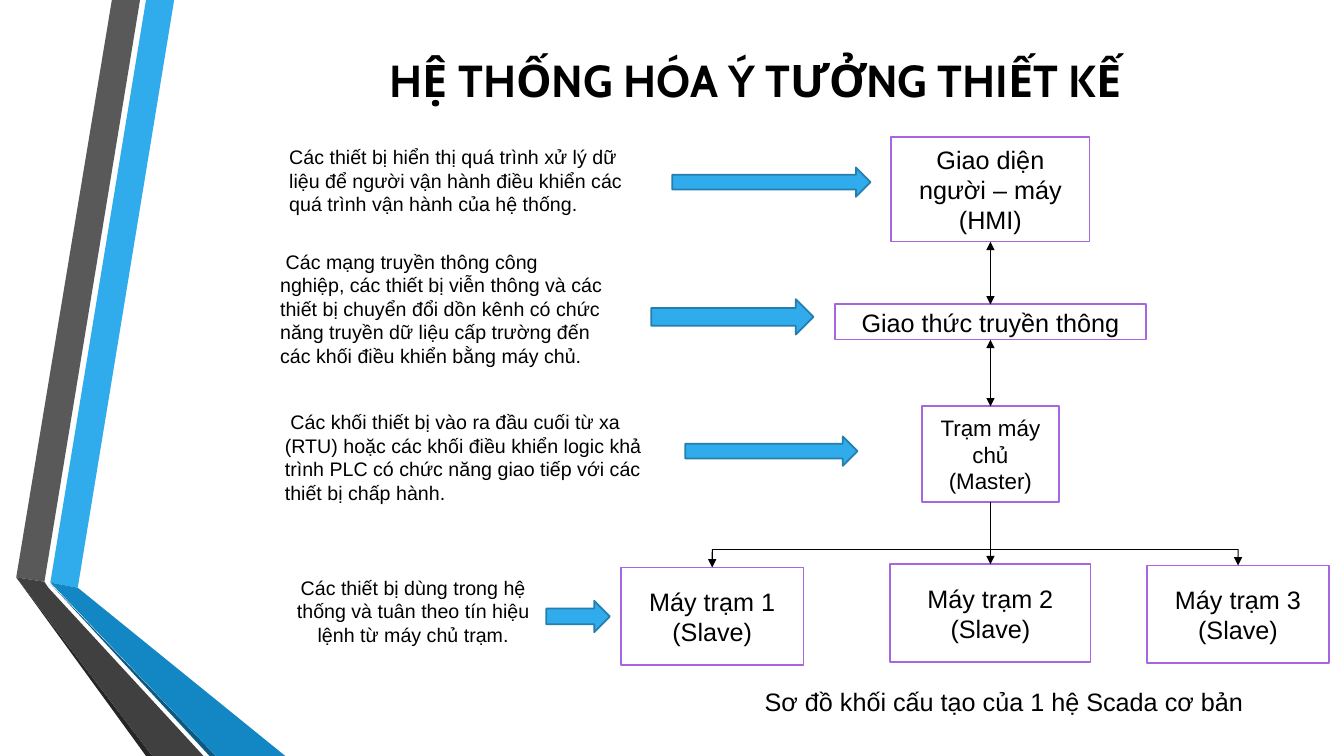
from lxml import etree
from pptx import Presentation
from pptx.dml.color import RGBColor
from pptx.enum import shapes, text
from pptx.oxml.ns import qn
from pptx.util import Cm, Pt

BLACK = RGBColor(0x00, 0x00, 0x00)
WHITE = RGBColor(0xFF, 0xFF, 0xFF)
PURPLE = RGBColor(0xA6, 0x66, 0xE1)
BLUE = RGBColor(0x30, 0xAC, 0xEC)
BLUE_EDGE = RGBColor(0x24, 0x7F, 0xAF)
BLUE_FOLD = RGBColor(0x12, 0x87, 0xC3)
BLUE_SHADE = RGBColor(0x0C, 0x5A, 0x82)
GREY = RGBColor(0x59, 0x59, 0x59)
GREY_FOLD = RGBColor(0x40, 0x40, 0x40)
GREY_SHADE = RGBColor(0x26, 0x26, 0x26)

CENTER, LEFT = text.PP_ALIGN.CENTER, text.PP_ALIGN.LEFT
TOP, MIDDLE = text.MSO_ANCHOR.TOP, text.MSO_ANCHOR.MIDDLE

# All places and sizes are in centimetres.
TITLE = "HỆ THỐNG HÓA Ý TƯỞNG THIẾT KẾ"
TITLE_PLACE = (5.13, 0.1, 27.84, 3.81)
CAPTION = "Sơ đồ khối cấu tạo của 1 hệ Scada cơ bản"
CAPTION_PLACE = (19.02, 17.17, 12.7, 1.8)

RIBBONS = [
    (BLUE, [(1.27, 14.68), (1.96, 14.81), (4.39, 0), (3.68, 0)]),
    (GREY, [(3.53, 0), (2.82, 0), (0.41, 14.55), (1.12, 14.66)]),
    (GREY_SHADE, [(0.41, 14.55), (3.68, 19.05), (3.84, 19.05)]),
    (BLUE_SHADE, [(1.27, 14.71), (5.28, 19.05), (5.44, 19.05)]),
    (BLUE_FOLD, [(1.27, 14.68), (5.44, 19.05), (7.19, 19.05), (1.96, 14.81)]),
    (GREY_FOLD, [(5.13, 19.05), (1.22, 14.81), (1.12, 14.66), (0.41, 14.55),
                 (3.84, 19.05)]),
]

# name: (lines, center, top, width, height, text size)
MAIN_AXIS = 24.96
BLOCKS = {
    "hmi": (["Giao diện người – máy (HMI)"], MAIN_AXIS, 3.45, 5, 2.64, 18),
    "protocol": (["Giao thức truyền thông"], MAIN_AXIS, 7.67, 7.85, 0.89, 18),
    "master": (["Trạm máy chủ (Master)"], MAIN_AXIS, 10.24, 3.45, 2.41, 16),
    "slave 1": (["Máy trạm 1", "(Slave)"], 17.95, 14.3, 4.6, 2.46, 18),
    "slave 2": (["Máy trạm 2", "(Slave)"], MAIN_AXIS, 14.22, 5.05, 2.46, 18),
    "slave 3": (["Máy trạm 3", "(Slave)"], 31.2, 14.25, 4.6, 2.46, 18),
}
# upper block, lower block, arrowheads
LINKS = [
    ("hmi", "protocol", ("headEnd", "tailEnd")),
    ("protocol", "master", ("headEnd", "tailEnd")),
    ("master", "slave 2", ("tailEnd",)),
]
BUS_TOP = 13.84
BUS_ENDS = ("slave 1", "slave 3")

# text, place, alignment, first-line indent, place of its arrow
NOTES = [
    ("Các thiết bị hiển thị quá trình xử lý dữ liệu để người vận hành điều "
     "khiển các quá trình vận hành của hệ thống.",
     (7.04, 3.53, 9.02, 2.64), LEFT, 0, (16.94, 4.22, 5, 0.74)),
    ("Các mạng truyền thông công nghiệp, các thiết bị viễn thông và các thiết "
     "bị chuyển đổi dồn kênh có chức năng truyền dữ liệu cấp trường đến các "
     "khối điều khiển bằng máy chủ.",
     (6.81, 6.17, 8.64, 3.84), LEFT, 0.14, (16.41, 7.54, 4.09, 0.89)),
    ("Các khối thiết bị vào ra đầu cuối từ xa (RTU) hoặc các khối điều khiển "
     "logic khả trình PLC có chức năng giao tiếp với các thiết bị chấp hành.",
     (6.93, 10.21, 10.08, 3.25), LEFT, 0.14, (17.27, 11, 4.34, 0.74)),
    ("Các thiết bị dùng trong hệ thống và tuân theo tín hiệu lệnh từ máy chủ "
     "trạm.",
     (6.86, 14.38, 7.11, 2), CENTER, 0, (13.77, 15.14, 1.6, 0.79)),
]


def write(shape, lines, size, align=LEFT, anchor=TOP, indent=0, font="Arial",
          bold=False):
    frame = shape.text_frame
    frame.text = "\n".join(lines)
    frame.word_wrap = True
    frame.vertical_anchor = anchor
    looks = {"name": font, "size": Pt(size), "bold": bold}
    for para in frame.paragraphs:
        para.alignment = align
        if indent:
            para._p.get_or_add_pPr().set("indent", str(Cm(indent)))
        for span in para.runs:
            span.font.color.rgb = BLACK
            for key, value in looks.items():
                setattr(span.font, key, value)


def paint(shape, fill, edge=None):
    shape.shadow.inherit = False
    shape.fill.solid()
    shape.fill.fore_color.rgb = fill
    if edge is None:
        shape.line.fill.background()
    else:
        shape.line.color.rgb = edge
        shape.line.width = Pt(1.25)


def add_preset(slide, kind, place, fill, edge):
    shape = slide.shapes.add_shape(kind, *map(Cm, place))
    paint(shape, fill, edge)
    return shape


def add_link(slide, start, end, heads=()):
    link = slide.shapes.add_connector(
        shapes.MSO_CONNECTOR.STRAIGHT, *map(Cm, (*start, *end)))
    link.line.color.rgb = BLACK
    link.line.width = Pt(0.75)
    for head in heads:
        etree.SubElement(link.line._get_or_add_ln(), qn(f"a:{head}"),
                         type="triangle")
    etree.SubElement(link._element.spPr, qn("a:effectLst"))
    return link


def add_text(slide, place, lines, size, **looks):
    write(slide.shapes.add_textbox(*map(Cm, place)), lines, size, **looks)


def main():
    deck = Presentation()
    deck.slide_width, deck.slide_height = Cm(33.87), Cm(19.05)
    slide = deck.slides.add_slide(deck.slide_layouts[5])

    for color, points in RIBBONS:
        corners = [(Cm(x), Cm(y)) for x, y in points]
        builder = slide.shapes.build_freeform(*corners[0])
        builder.add_line_segments(corners[1:], close=True)
        paint(builder.convert_to_shape(), color)

    title = slide.shapes.title
    for side, value in zip(("left", "top", "width", "height"), TITLE_PLACE):
        setattr(title, side, Cm(value))
    write(title, [TITLE], 32, CENTER, MIDDLE, font="Cabin", bold=True)

    boxes = {}
    for name, (lines, center, top, width, height, size) in BLOCKS.items():
        place = (center - width / 2, top, width, height)
        boxes[name] = add_preset(slide, shapes.MSO_SHAPE.RECTANGLE, place,
                                 WHITE, PURPLE)
        write(boxes[name], lines, size, CENTER, MIDDLE)

    for upper, lower, heads in LINKS:
        link = add_link(slide, (0, 0), (0, 0), heads)
        link.begin_connect(boxes[upper], 2)
        link.end_connect(boxes[lower], 0)

    bus = [(BLOCKS[name][1], BUS_TOP) for name in BUS_ENDS]
    add_link(slide, *bus)
    for name, corner in zip(BUS_ENDS, bus):
        drop = add_link(slide, corner, corner, ("tailEnd",))
        drop.end_connect(boxes[name], 0)

    add_text(slide, CAPTION_PLACE, [CAPTION], 18)
    for note, place, align, indent, arrow_place in NOTES:
        add_text(slide, place, [note], 14, align=align, indent=indent)
        add_preset(slide, shapes.MSO_SHAPE.RIGHT_ARROW, arrow_place, BLUE,
                   BLUE_EDGE)

    deck.save("out.pptx")


if __name__ == "__main__":
    main()
